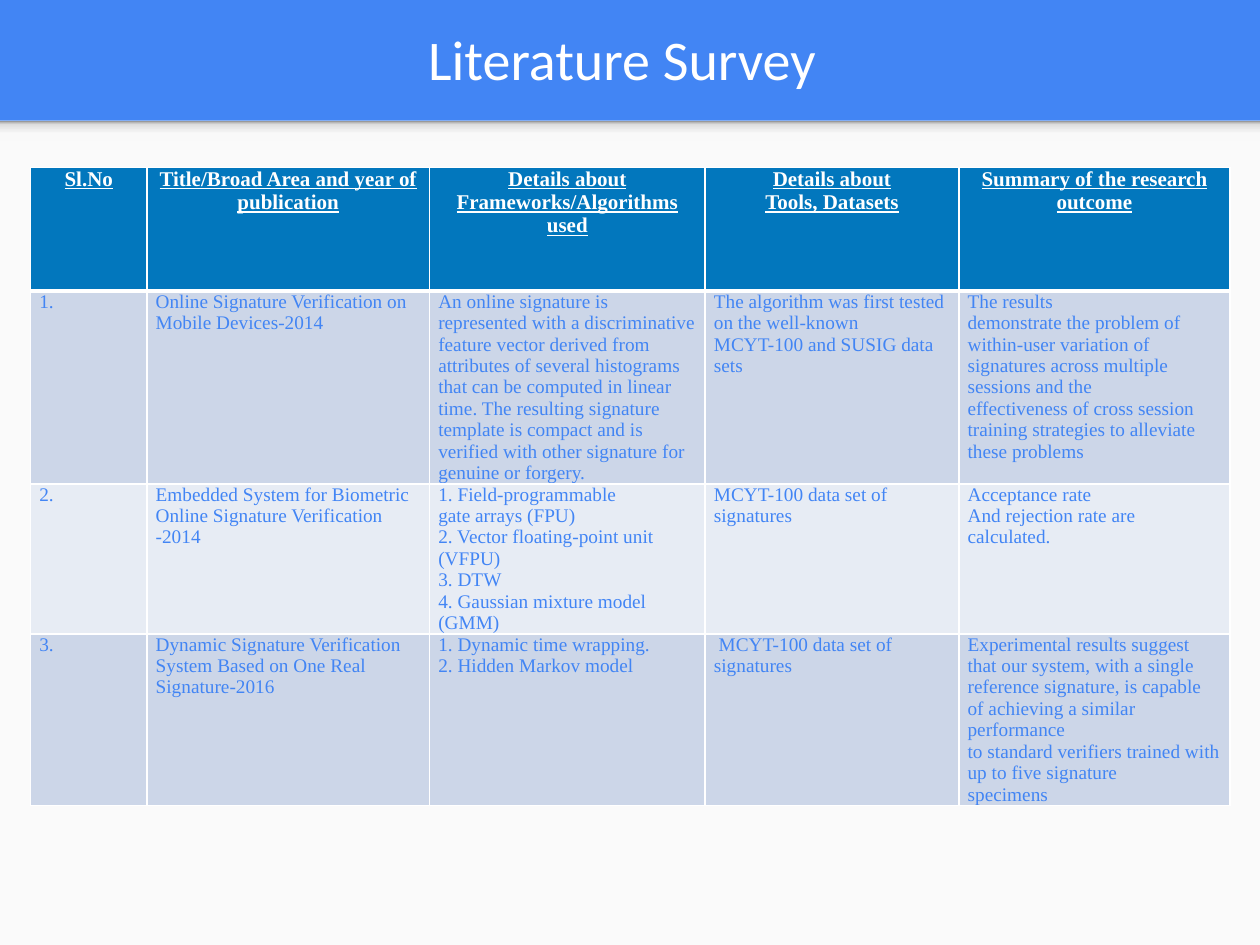
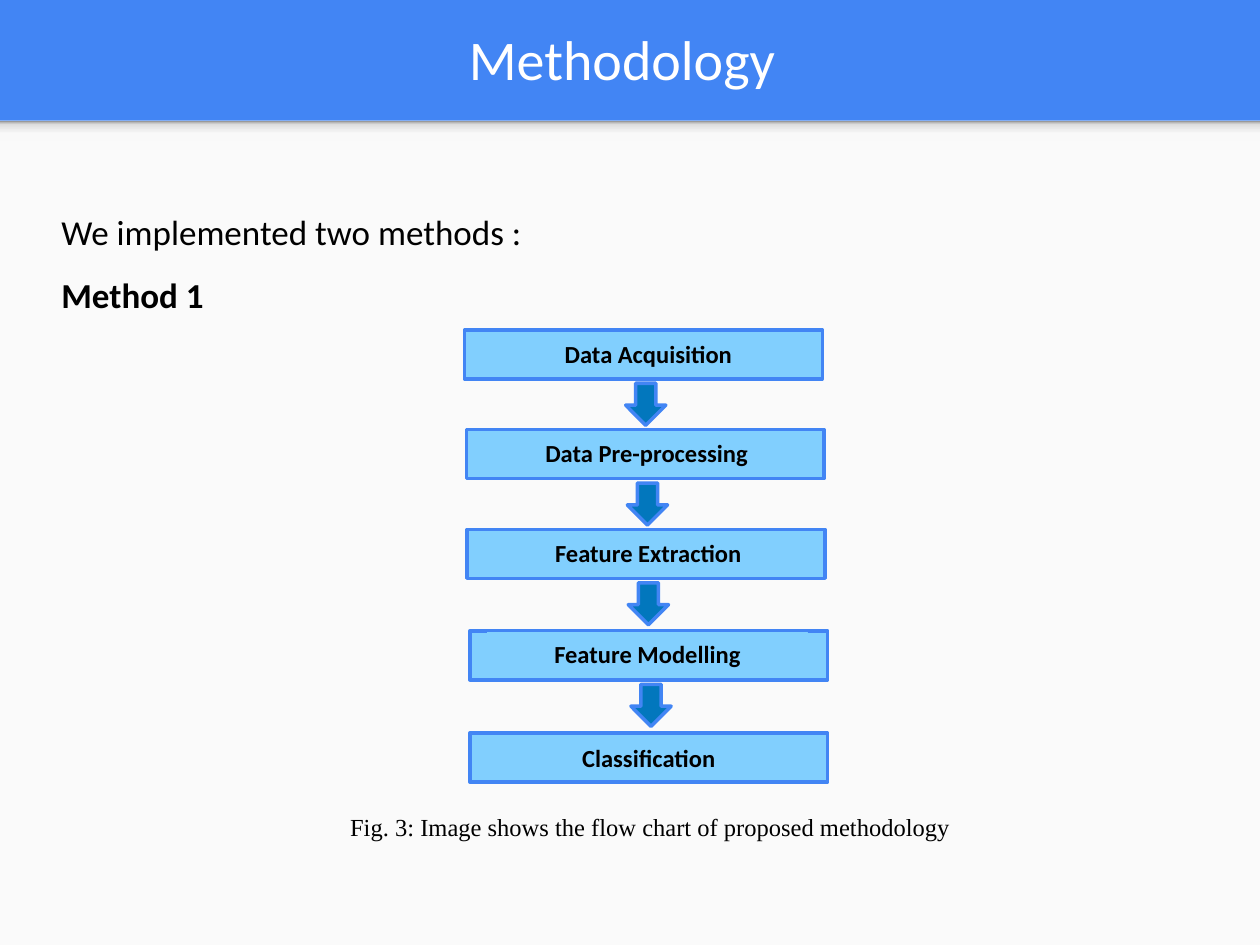
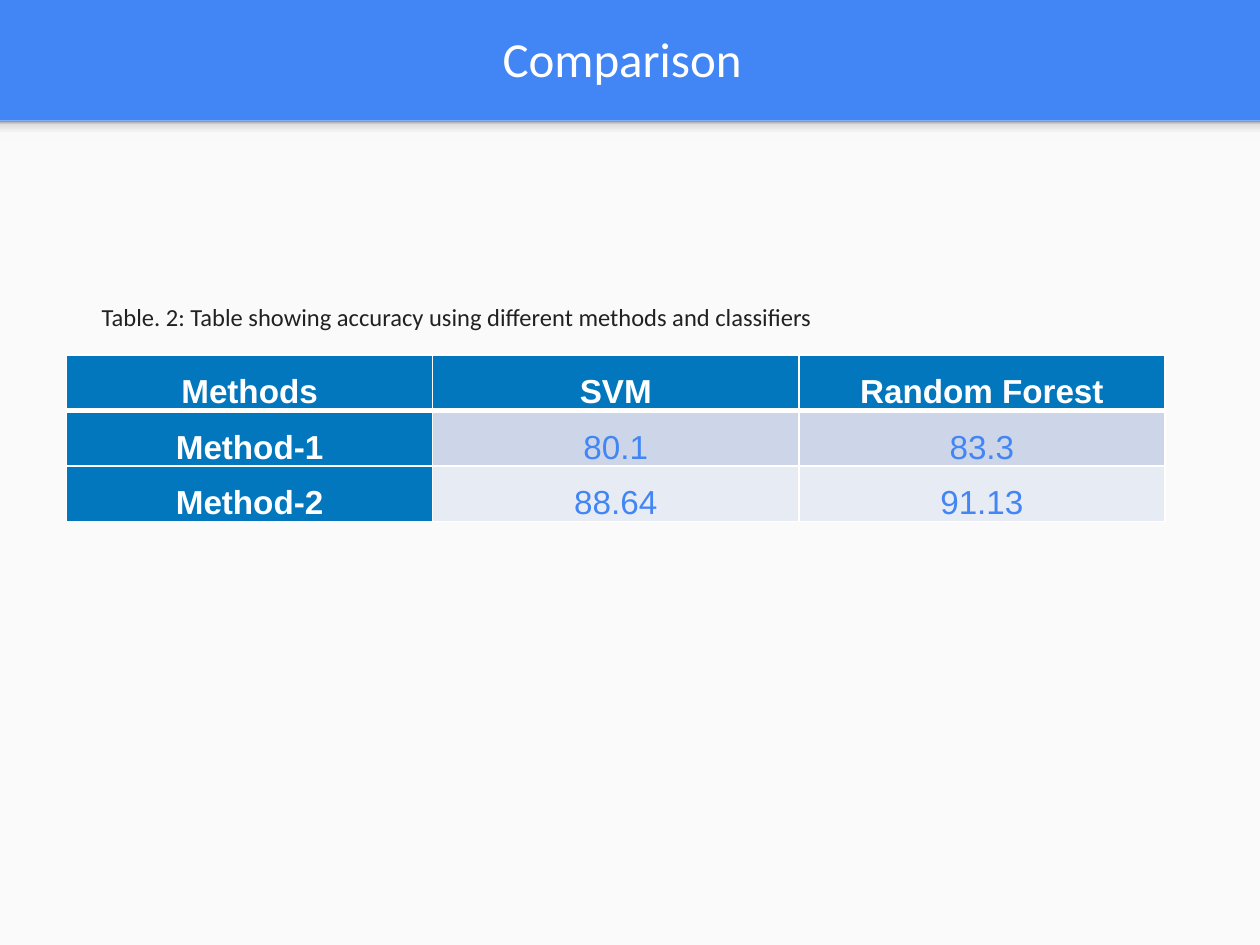
from lxml import etree
from pptx import Presentation
from pptx.dml.color import RGBColor
from pptx.enum.shapes import MSO_SHAPE
from pptx.enum.text import MSO_ANCHOR, MSO_AUTO_SIZE, PP_ALIGN
from pptx.oxml.ns import qn
from pptx.util import Pt

RECTANGLE = MSO_SHAPE.RECTANGLE
DOWN_ARROW = MSO_SHAPE.DOWN_ARROW
TOP, MIDDLE = MSO_ANCHOR.TOP, MSO_ANCHOR.MIDDLE
LEFT, CENTER = PP_ALIGN.LEFT, PP_ALIGN.CENTER
NO_AUTOSIZE = MSO_AUTO_SIZE.NONE

BLUE, DEEP_BLUE, SKY_BLUE = "4285F4", "0277BD", "81CFFE"
WHITE, BLACK, CHARCOAL, PANEL = "FFFFFF", "000000", "212121", "FAFAFA"
BANDS = ("CCD6E8", "E7ECF4")
SHADOW_STOPS = ((0, "F9F9F9"), (36, "F9F9F9"), (80, "DEDEDE"), (100, "999999"))
SERIF = "Times New Roman"


def rgb(color):
    return RGBColor.from_string(color)


def points(*lengths):
    return [Pt(length) for length in lengths]


def add_colour(parent, color):
    etree.SubElement(parent, qn("a:srgbClr"), val=color)


class Deck:
    def __init__(self):
        self.presentation = Presentation()
        self.presentation.slide_width = Pt(720)
        self.presentation.slide_height = Pt(540)
        fill = self.presentation.slide_master.background.fill
        fill.solid()
        fill.fore_color.rgb = rgb(BLUE)
        self.slide = None

    def new_slide(self, title, size=32):
        layout = self.presentation.slide_layouts.get_by_name("Title Only")
        self.slide = self.presentation.slides.add_slide(layout)
        self.shape((0, 69, 720, 471), PANEL)
        self.gradient_band((0, 69, 720, 11.5))
        shape = self.slide.shapes.title
        shape.left, shape.top, shape.width, shape.height = points(8, 1.5, 695, 63.5)
        self.frame(shape.text_frame, MIDDLE, 7.2, 7.2)
        self.fill_text(shape.text_frame, title, WHITE, CENTER, size=Pt(size))

    def frame(self, text_frame, anchor, side=7.2, edge=3.6):
        values = {"word_wrap": True, "auto_size": NO_AUTOSIZE, "vertical_anchor": anchor,
                  "margin_left": Pt(side), "margin_right": Pt(side),
                  "margin_top": Pt(edge), "margin_bottom": Pt(edge)}
        for name, value in values.items():
            setattr(text_frame, name, value)

    def fill_text(self, text_frame, text, color, align=LEFT, spacing=None, **font):
        text_frame.text = text
        for paragraph in text_frame.paragraphs:
            paragraph.alignment = align
            paragraph.line_spacing = spacing
            for run in paragraph.runs:
                for name, value in {"name": "Calibri", **font}.items():
                    setattr(run.font, name, value)
                run.font.color.rgb = rgb(color)

    def shape(self, box, fill, line=None, width=2, kind=RECTANGLE):
        shape = self.slide.shapes.add_shape(kind, *points(*box))
        shape.shadow.inherit = False
        shape.fill.solid()
        shape.fill.fore_color.rgb = rgb(fill)
        if line:
            shape.line.color.rgb = rgb(line)
            shape.line.width = Pt(width)
        else:
            shape.line.fill.background()
        return shape

    def gradient_band(self, box):
        shape = self.shape(box, PANEL)
        shape.fill.gradient()
        shape.fill.gradient_angle = 90
        stops = shape._element.spPr.find(qn("a:gradFill")).find(qn("a:gsLst"))
        for stop in list(stops):
            stops.remove(stop)
        for position, color in SHADOW_STOPS:
            add_colour(etree.SubElement(stops, qn("a:gs"), pos=str(position * 1000)), color)

    def label(self, box, text):
        shape = self.shape(box, SKY_BLUE, SKY_BLUE, 0.75)
        self.frame(shape.text_frame, TOP)
        self.fill_text(shape.text_frame, text, BLACK, CENTER, size=Pt(14), bold=True)

    def text(self, box, text, color=BLACK, spacing=None, **font):
        shape = self.slide.shapes.add_textbox(*points(*box))
        self.frame(shape.text_frame, TOP)
        self.fill_text(shape.text_frame, text, color, LEFT, spacing, **font)
        return shape.text_frame.paragraphs

    def borders(self, cell, row):
        properties = cell._tc.get_or_add_tcPr()
        widths = {"L": 1, "R": 1, "T": 3 if row == 1 else 1, "B": 3 if row == 0 else 1}
        for side, width in widths.items():
            line = etree.SubElement(properties, qn("a:ln" + side), w=str(Pt(width)))
            add_colour(etree.SubElement(line, qn("a:solidFill")), WHITE)

    def table(self, left, top, widths, heights, rows, header, body,
              side=7.2, first_column=False):
        box = points(left, top, sum(widths), sum(heights))
        table = self.slide.shapes.add_table(len(rows), len(widths), *box).table
        for column, width in zip(table.columns, widths):
            column.width = Pt(width)
        for row_index, texts in enumerate(rows):
            table.rows[row_index].height = Pt(heights[row_index])
            for column_index, text in enumerate(texts):
                cell = table.cell(row_index, column_index)
                heading = row_index == 0 or first_column and column_index == 0
                cell.margin_left = cell.margin_right = Pt(side)
                cell.margin_top = cell.margin_bottom = 0
                self.borders(cell, row_index)
                cell.fill.solid()
                cell.fill.fore_color.rgb = rgb(DEEP_BLUE if heading else BANDS[(row_index - 1) % 2])
                self.fill_text(cell.text_frame, text, WHITE if heading else BLUE,
                               **(header if heading else body))


def literature_survey(deck):
    deck.new_slide("Literature Survey")
    rows = [
        ("Sl.No", "Title/Broad Area and year of publication",
         "Details about Frameworks/Algorithms used", "Details about\nTools, Datasets",
         "Summary of the research outcome"),
        ("1.", "Online Signature Verification on Mobile Devices-2014",
         "An online signature is represented with a discriminative feature vector derived from "
         "attributes of several histograms that can be computed in linear time. The resulting "
         "signature template is compact and is verified with other signature for genuine or forgery.",
         "The algorithm was first tested on the well-known MCYT-100 and SUSIG data sets",
         "The results\ndemonstrate the problem of within-user variation of\n"
         "signatures across multiple sessions and the\n"
         "effectiveness of cross session training strategies to alleviate these problems"),
        ("2.", "Embedded System for Biometric Online Signature Verification\n-2014",
         "1. Field-programmable\ngate arrays (FPU)\n2. Vector floating-point unit (VFPU)\n"
         "3. DTW\n4. Gaussian mixture model (GMM)",
         "MCYT-100 data set of signatures",
         "Acceptance rate\nAnd rejection rate are calculated."),
        ("3.", "Dynamic Signature Verification System Based on One Real Signature-2016",
         "1. Dynamic time wrapping.\n2. Hidden Markov model",
         " MCYT-100 data set of signatures",
         "Experimental results suggest that our system, with a single reference signature, "
         "is capable of achieving a similar performance\n"
         "to standard verifiers trained with up to five signature\nspecimens"),
    ]
    header = {"align": CENTER, "name": SERIF, "size": Pt(12), "bold": True, "underline": True}
    body = {"name": SERIF, "size": Pt(11), "bold": False}
    deck.table(17.5, 95.75, (66.5, 161.5, 157.5, 145, 155), (70.5, 110, 85.5, 97.5),
               rows, header, body, side=5)


def methodology(deck):
    deck.new_slide("Methodology")
    paragraphs = deck.text((28, 105, 662, 149), "We implemented two methods :\nMethod 1",
                           spacing=1.5, size=Pt(20))
    paragraphs[1].runs[0].font.bold = True
    steps = [
        ("Data Acquisition", 265.5, 188.5, (277, 190, 187, 25)),
        ("Data Pre-processing", 266.5, 245.5, (280, 247, 179, 24.5)),
        ("Feature Extraction", 267, 302.5, (286, 304, 169, 22.5)),
        ("Feature Modelling", 268.5, 360.5, (278.5, 361.5, 183, 24.5)),
        ("Classification", 268.5, 419, (294.5, 421, 152.5, 22.5)),
    ]
    for number, (name, left, top, label_box) in enumerate(steps, 1):
        deck.shape((left, top, 204.5, 28), SKY_BLUE, BLUE)
        deck.label(label_box, name)
        if number < len(steps):
            deck.shape((left + 92, top + 30.5, 23, 24), DEEP_BLUE, BLUE, kind=DOWN_ARROW)
    caption = deck.text((121, 443.5, 448, 51),
                        "Fig. 3: Image shows the flow chart of proposed methodology",
                        spacing=2, name=SERIF, size=Pt(14))[0]
    properties = caption._p.get_or_add_pPr()
    for name in ("marL", "indent"):
        properties.set(name, str(Pt(36)))


def comparison(deck):
    deck.new_slide("Comparison", 28)
    rows = [("Methods", "SVM", "Random Forest"),
            ("Method-1", "80.1", "83.3"),
            ("Method-2", "88.64", "91.13")]
    body = {"align": CENTER, "spacing": 1.5, "name": "Arial", "size": Pt(19), "bold": False}
    deck.table(38, 203, [209.25] * 3, [31] * 3, rows, {**body, "bold": True}, body,
               first_column=True)
    deck.text((51, 169, 428, 41),
              "Table. 2: Table showing accuracy using different methods and classifiers",
              CHARCOAL, size=Pt(14))


def main():
    deck = Deck()
    literature_survey(deck)
    methodology(deck)
    comparison(deck)
    deck.presentation.save("out.pptx")


if __name__ == "__main__":
    main()
